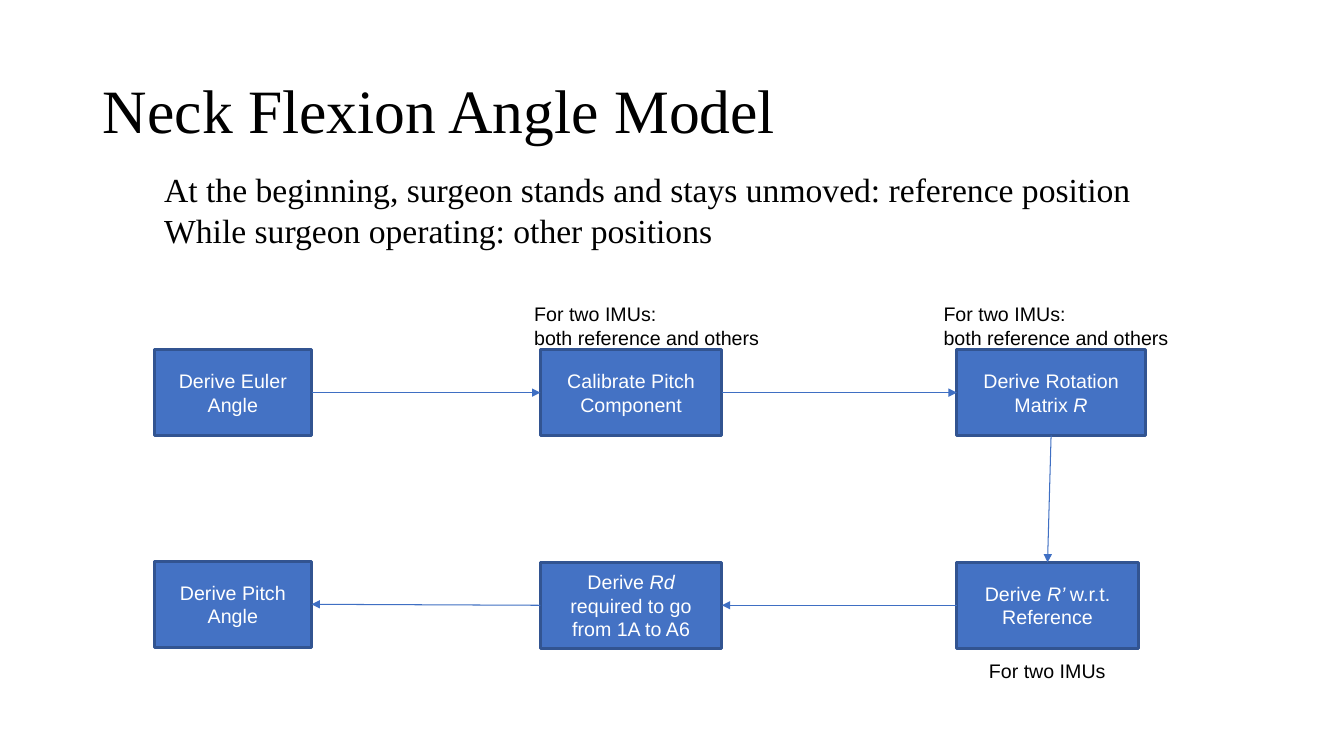
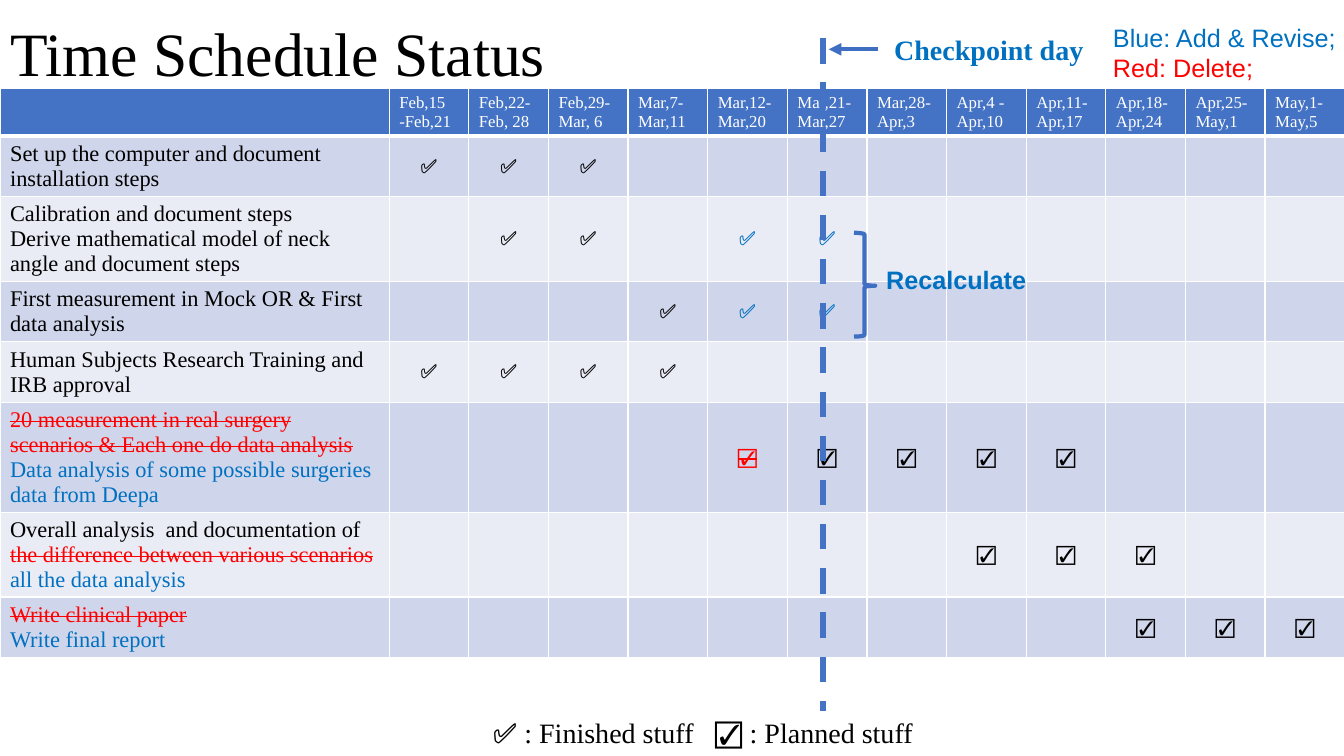
from lxml import etree
from pptx import Presentation
from pptx.dml.color import RGBColor
from pptx.enum.dml import MSO_LINE
from pptx.enum.shapes import MSO_CONNECTOR, MSO_SHAPE
from pptx.enum.text import MSO_ANCHOR, PP_ALIGN
from pptx.oxml.ns import qn
from pptx.util import Inches, Pt

STRAIGHT = MSO_CONNECTOR.STRAIGHT
RECTANGLE, RIGHT_BRACE = MSO_SHAPE.RECTANGLE, MSO_SHAPE.RIGHT_BRACE
DASH = MSO_LINE.DASH
MIDDLE = MSO_ANCHOR.MIDDLE
LEFT, CENTER = PP_ALIGN.LEFT, PP_ALIGN.CENTER
TOP_SIDE, LEFT_SIDE, BOTTOM_SIDE, RIGHT_SIDE = range(4)

BLACK = RGBColor(0x00, 0x00, 0x00)
WHITE = RGBColor(0xFF, 0xFF, 0xFF)
ACCENT = RGBColor(0x44, 0x72, 0xC4)
OUTLINE = RGBColor(0x32, 0x54, 0x91)
ARROW = RGBColor(0x3F, 0x6F, 0xC3)
BLUE = RGBColor(0x00, 0x70, 0xC0)
RED = RGBColor(0xFF, 0x00, 0x00)
BANDS = (RGBColor(0xCF, 0xD5, 0xEA), RGBColor(0xE9, 0xEB, 0xF5))

SERIF, SANS = "Times New Roman", "Arial"
TITLE = {"name": SERIF, "size": Pt(44), "color": BLACK}
BODY = {"name": SERIF, "size": Pt(24), "color": BLACK}
NOTE = {"name": SANS, "size": Pt(14), "color": BLACK}
BOX = {**NOTE, "color": WHITE}
HEADER = {"name": SERIF, "size": Pt(12), "color": WHITE}
TASK = {"name": SERIF, "size": Pt(16), "color": BLACK}
LEGEND = {"name": SERIF, "size": Pt(20), "color": BLACK}
CHECKPOINT = {**LEGEND, "color": BLUE, "bold": True}
COLOR_KEY = {"name": SANS, "size": Pt(18), "color": BLUE}
RECALCULATE = {**COLOR_KEY, "bold": True}
ITALIC = {"italic": True}
ADDED = {"color": BLUE}
DELETED = {"color": RED, "strike": True}

# A paragraph is a string or a list of (text, format changes) spans.
FLOW_TITLE = "Neck Flexion Angle Model"
FLOW_BOXES = {
    "euler": ((1.53, 3.47, 1.56), "Derive Euler Angle"),
    "pitch component": ((5.36, 3.47, 1.8), "Calibrate Pitch Component"),
    "rotation": ((9.49, 3.47, 1.87), [("Derive Rotation Matrix ", {}), ("R", ITALIC)]),
    "reference": ((9.49, 5.58, 1.8),
                  [("Derive ", {}), ("R’ ", ITALIC), ("w.r.t. Reference", {})]),
    "difference": ((5.36, 5.58, 1.8),
                   [("Derive ", {}), ("Rd", ITALIC), (" required to go from 1A to A6", {})]),
    "pitch angle": ((1.53, 5.57, 1.56), "Derive Pitch Angle"),
}
BOX_HEIGHT = 0.85
FLOW_ARROWS = [
    ("euler", RIGHT_SIDE, "pitch component", LEFT_SIDE),
    ("pitch component", RIGHT_SIDE, "rotation", LEFT_SIDE),
    ("rotation", BOTTOM_SIDE, "reference", TOP_SIDE),
    ("reference", LEFT_SIDE, "difference", RIGHT_SIDE),
    ("difference", LEFT_SIDE, "pitch angle", RIGHT_SIDE),
]
BOTH_POSITIONS = ["For two IMUs:", "both reference and others"]
FLOW_TEXTS = [
    ((5.2, 2.95, 2.54, 0.57), BOTH_POSITIONS, NOTE),
    ((9.26, 2.95, 2.54, 0.57), BOTH_POSITIONS, NOTE),
    ((9.71, 6.49, 1.37, 0.34), ["For two IMUs"], NOTE),
    ((1.53, 1.63, 9.88, 1.31),
     ["At the beginning, surgeon stands and stays unmoved: reference position",
      "While surgeon operating: other positions"], BODY),
]

SCHEDULE_TITLE = "Time Schedule Status"
WEEKS = ["Feb,15 -Feb,21", "Feb,22-Feb, 28", "Feb,29-Mar, 6", "Mar,7-Mar,11",
         "Mar,12-Mar,20", "Mar,21-Mar,27", "Mar,28-Apr,3", "Apr,4 - Apr,10",
         "Apr,11-Apr,17", "Apr,18-Apr,24", "Apr,25-May,1", "May,1-May,5"]
FINISHED, PLANNED = "✅", "☑️"
# Each task: row height, paragraphs, marks as (first week, last week, symbol, format changes).
TASKS = [
    (0.6, ["Set up the computer and document installation steps"],
     [(1, 3, FINISHED, {})]),
    (0.83, ["Calibration and document steps",
            "Derive mathematical model of neck angle and document steps"],
     [(2, 3, FINISHED, {}), (5, 6, FINISHED, ADDED)]),
    (0.6, ["First measurement in Mock OR & First data analysis"],
     [(4, 4, FINISHED, {}), (5, 6, FINISHED, ADDED)]),
    (0.6, ["Human Subjects Research Training and IRB approval"],
     [(1, 4, FINISHED, {})]),
    (1.09, [[("20 measurement in real surgery scenarios & Each one do data analysis", DELETED)],
            [("Data analysis of some possible surgeries data from Deepa", ADDED)]],
     [(5, 5, PLANNED, DELETED), (6, 9, PLANNED, {})]),
    (0.83, ["Overall analysis  and documentation of",
            [("the difference between various scenarios", DELETED)],
            [("all the data analysis", ADDED)]],
     [(8, 10, PLANNED, {})]),
    (0.6, [[("Write clinical paper", DELETED)], [("Write final report", ADDED)]],
     [(10, 12, PLANNED, {})]),
]
HEADER_HEIGHT, TASK_WIDTH, WEEK_WIDTH = 0.47, 3.86, 0.79
SCHEDULE_TEXTS = [
    ((8.77, 0.27, 2.1, 0.44), ["Checkpoint day"], CHECKPOINT),
    ((8.69, 2.57, 1.6, 0.4), ["Recalculate"], RECALCULATE),
    ((10.94, 0.17, 2.45, 0.71),
     ["Blue: Add & Revise;", [("Red: Delete;", {"color": RED})]], COLOR_KEY),
]


def inches(values):
    return [Inches(value) for value in values]


def write(frame, paragraphs, base, align=LEFT):
    for index, content in enumerate(paragraphs):
        para = frame.paragraphs[0] if index == 0 else frame.add_paragraph()
        para.alignment = align
        spans = [(content, {})] if isinstance(content, str) else content
        for text, changes in spans:
            span = para.add_run()
            span.text = text
            for key, value in {**base, **changes}.items():
                if key == "color":
                    span.font.color.rgb = value
                elif key == "strike":
                    span._r.get_or_add_rPr().set("strike", "sngStrike")
                else:
                    setattr(span.font, key, value)


def add_titled_slide(deck, title, position):
    slide = deck.slides.add_slide(deck.slide_layouts[5])
    shape = slide.shapes.title
    shape.left, shape.top, shape.width, shape.height = inches(position)
    frame = shape.text_frame
    frame.vertical_anchor = MIDDLE
    frame.word_wrap = True
    write(frame, [title], TITLE)
    frame.paragraphs[0].line_spacing = 0.9
    return slide


def add_text(slide, position, paragraphs, base):
    frame = slide.shapes.add_textbox(*inches(position)).text_frame
    frame.word_wrap = False
    write(frame, paragraphs, base)
    return frame


def add_line(slide, points, color, width, dash=None, arrow=True):
    line = slide.shapes.add_connector(STRAIGHT, *inches(points))
    line.line.color.rgb = color
    line.line.width = Pt(width)
    if dash:
        line.line.dash_style = dash
    if arrow:
        etree.SubElement(line.line._get_or_add_ln(), qn("a:tailEnd"), type="triangle")
    etree.SubElement(line._element.spPr, qn("a:effectLst"))
    return line


def style_cell(cell, fill, bottom=1):
    """Give the cell white borders, then its fill."""
    properties = cell._tc.get_or_add_tcPr()
    for side, width in (("L", 1), ("R", 1), ("T", 1), ("B", bottom)):
        border = etree.SubElement(properties, qn(f"a:ln{side}"), w=str(Pt(width)))
        paint = etree.SubElement(border, qn("a:solidFill"))
        etree.SubElement(paint, qn("a:srgbClr"), val=str(WHITE))
    cell.fill.solid()
    cell.fill.fore_color.rgb = fill
    cell.vertical_anchor = MIDDLE


def add_schedule(slide):
    heights = [HEADER_HEIGHT] + [height for height, _, _ in TASKS]
    widths = [TASK_WIDTH] + [WEEK_WIDTH] * len(WEEKS)
    table = slide.shapes.add_table(
        len(heights), len(widths), *inches((0, 0.88, sum(widths), sum(heights)))).table
    table.first_row = table.horz_banding = False
    for column, width in zip(table.columns, widths):
        column.width = Inches(width)
    for index, (row, height) in enumerate(zip(table.rows, heights)):
        row.height = Inches(height)
        for cell in row.cells:
            if index == 0:
                style_cell(cell, ACCENT, bottom=3)
            else:
                style_cell(cell, BANDS[(index - 1) % 2])
    for column, week in enumerate(WEEKS, 1):
        write(table.cell(0, column).text_frame, [week], HEADER)
    for row, (_, paragraphs, marks) in enumerate(TASKS, 1):
        write(table.cell(row, 0).text_frame, paragraphs, TASK)
        for first, last, symbol, changes in marks:
            for column in range(first, last + 1):
                write(table.cell(row, column).text_frame, [symbol],
                      {**NOTE, **changes}, CENTER)


def build_flow_slide(deck):
    slide = add_titled_slide(deck, FLOW_TITLE, (0.92, 0.4, 11.5, 1.45))
    boxes = {}
    for name, (position, content) in FLOW_BOXES.items():
        box = slide.shapes.add_shape(RECTANGLE, *inches((*position, BOX_HEIGHT)))
        box.shadow.inherit = False
        box.fill.solid()
        box.fill.fore_color.rgb = ACCENT
        box.line.color.rgb = OUTLINE
        box.line.width = Pt(2)
        box.text_frame.word_wrap = True
        box.text_frame.vertical_anchor = MIDDLE
        write(box.text_frame, [content], BOX, CENTER)
        boxes[name] = box
    for start, start_side, end, end_side in FLOW_ARROWS:
        arrow = add_line(slide, (0, 0, 0, 0), ARROW, 0.75)
        arrow.begin_connect(boxes[start], start_side)
        arrow.end_connect(boxes[end], end_side)
    for text in FLOW_TEXTS:
        add_text(slide, *text)


def build_schedule_slide(deck):
    slide = add_titled_slide(deck, SCHEDULE_TITLE, (0, 0.02, 6.26, 1.08))
    add_schedule(slide)
    legend = add_text(slide, (4.79, 7.05, 6.07, 0.44),
                      [f"{FINISHED} : Finished stuff\t{PLANNED} : Planned stuff"], LEGEND)
    legend.word_wrap = True
    tabs = etree.SubElement(legend.paragraphs[0]._p.get_or_add_pPr(), qn("a:tabLst"))
    etree.SubElement(tabs, qn("a:tab"), pos=str(Inches(2.2)), algn="l")
    add_line(slide, (8.16, 0.38, 8.16, 7.05), ACCENT, 4.5, dash=DASH, arrow=False)
    add_line(slide, (8.71, 0.49, 8.22, 0.49), ARROW, 3)
    for text in SCHEDULE_TEXTS:
        add_text(slide, *text)
    brace = slide.shapes.add_shape(RIGHT_BRACE, *inches((8.47, 2.31, 0.21, 1.03)))
    brace.adjustments[0], brace.adjustments[1] = 0.08, 0.51
    brace.shadow.inherit = False
    brace.fill.background()
    brace.line.color.rgb = ARROW
    brace.line.width = Pt(3)


def main():
    deck = Presentation()
    deck.slide_width, deck.slide_height = inches((13.33, 7.5))
    build_flow_slide(deck)
    build_schedule_slide(deck)
    deck.save("out.pptx")


if __name__ == "__main__":
    main()
